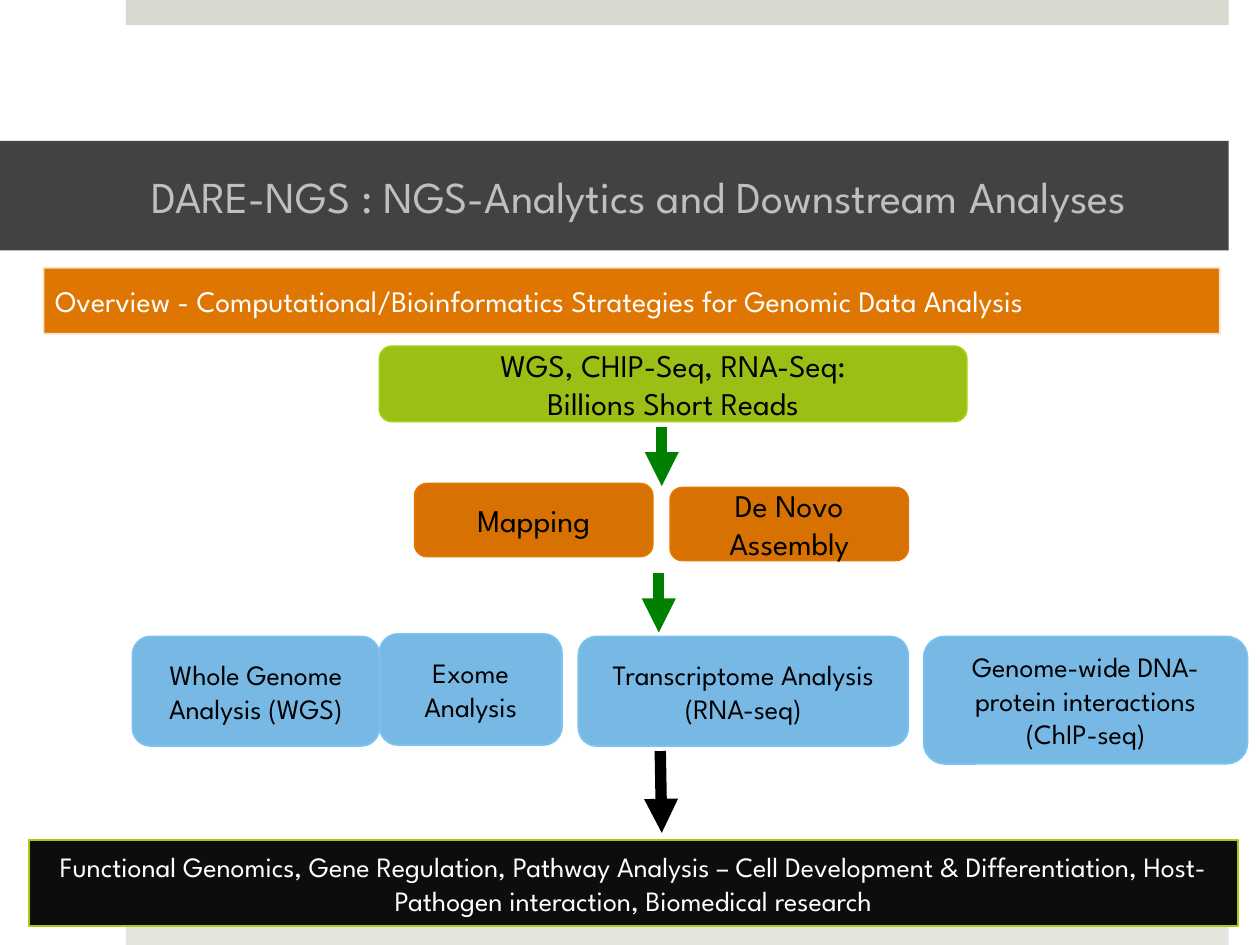
from lxml.etree import SubElement as Sub
from pptx import Presentation
from pptx.dml.color import RGBColor
from pptx.enum.shapes import MSO_CONNECTOR as Link, MSO_SHAPE as Form
from pptx.enum.text import MSO_ANCHOR as Anchor, MSO_AUTO_SIZE as Fit, PP_ALIGN as Align
from pptx.oxml.ns import qn
from pptx.util import Cm, Pt


def tint(code):
    return RGBColor.from_string(code)


class Deck:
    """Holds the style and the current slide, and draws each kind of element."""

    font = "League Spartan"

    def __init__(self, wide, high):
        self.show = Presentation()
        self.show.slide_width = Cm(wide)
        self.show.slide_height = Cm(high)
        self.slide = self.show.slides.add_slide(self.show.slide_layouts[5])

    def label(self, shape, lines, size, color, align):
        frame = shape.text_frame
        frame.word_wrap = True
        frame.auto_size = Fit.NONE
        frame.vertical_anchor = Anchor.MIDDLE
        for i, line in enumerate(lines):
            para = frame.add_paragraph() if i else frame.paragraphs[0]
            para.alignment = align
            run = para.add_run()
            run.text = line
            run.font.name = self.font
            run.font.size = Pt(size)
            run.font.color.rgb = tint(color)

    def title(self, area, text, fill, color, size):
        shape = self.slide.shapes.title
        shape.left, shape.top, shape.width, shape.height = map(Cm, area)
        shape.fill.solid()
        shape.fill.fore_color.rgb = tint(fill)
        self.label(shape, [text], size, color, Align.LEFT)
        frame = shape.text_frame
        frame.margin_left, frame.margin_right = Cm(3.05), Cm(0.76)
        frame.margin_top = frame.margin_bottom = Cm(0.13)

    def box(self, area, fill, edge=None, lines=(), size=16, color="000000",
            form=Form.RECTANGLE, align=Align.CENTER, width=1):
        shape = self.slide.shapes.add_shape(form, *map(Cm, area))
        shape.shadow.inherit = False
        shape.fill.solid()
        shape.fill.fore_color.rgb = tint(fill)
        if edge:
            shape.line.color.rgb = tint(edge)
            shape.line.width = Pt(width)
        else:
            shape.line.fill.background()
        self.label(shape, lines, size, color, align)
        return shape

    def step(self, area, fill, edge, lines, size):
        self.box(area, fill, edge, lines, size, form=Form.ROUNDED_RECTANGLE)

    def fade(self, shape, share):
        edge = shape.element.spPr.find(qn("a:ln"))
        hue = edge.find(".//" + qn("a:srgbClr"))
        Sub(hue, qn("a:alpha"), val=str(share * 1000))

    def arrow(self, ends, color):
        link = self.slide.shapes.add_connector(Link.STRAIGHT, *map(Cm, ends))
        link.line.color.rgb = tint(color)
        link.line.width = Pt(6.5)
        props = link.element.spPr
        Sub(props.find(qn("a:ln")), qn("a:tailEnd"), type="triangle")
        Sub(props, qn("a:effectLst"))


def main():
    deck = Deck(25.4, 19.05)
    for top, fill in (0, "D6D9CD"), (18.54, "E4E6DE"):
        deck.box((2.54, top, 22.23, 0.51), fill)
    deck.title((0, 2.84, 24.77, 2.21),
               "DARE-NGS : NGS-Analytics and Downstream Analyses",
               "424242", "BFBFBF", 25.2)
    head = deck.box(
        (0.86, 5.38, 23.75, 1.37), "E07602", "FFFFFF",
        ["Overview - Computational/Bioinformatics Strategies for Genomic Data Analysis"],
        17, "FFFFFF", align=Align.LEFT, width=2)
    deck.fade(head, 80)

    deck.step((7.65, 6.98, 11.84, 1.52), "9BBF15", "A5CC12",
              ["WGS, CHIP-Seq, RNA-Seq:", "Billions Short Reads"], 18)
    for left, top, text in (8.36, 9.75, "Mapping"), (13.51, 9.83, "De Novo Assembly"):
        deck.step((left, top, 4.8, 1.47), "D67102", "E27600", [text], 18)

    fields = [
        ((11.66, 12.83, 6.65, 2.21), ["Transcriptome Analysis", "(RNA-seq)"]),
        ((7.65, 12.78, 3.68, 2.24), ["Exome Analysis"]),
        ((2.67, 12.83, 4.98, 2.21), ["Whole Genome Analysis (WGS)"]),
        ((18.62, 12.83, 6.53, 2.57),
         ["Genome-wide DNA-protein interactions", "(ChIP-seq)"]),
    ]
    for area, lines in fields:
        deck.step(area, "77B8E4", "7AC2F2", lines, 16)

    deck.box((0.58, 16.94, 24.38, 1.73), "0D0D0D", "A5CC12",
             ["Functional Genomics, Gene Regulation, Pathway Analysis – Cell Development "
              "& Differentiation, Host-Pathogen interaction, Biomedical research"],
             16, "FFFFFF")

    deck.arrow((13.34, 8.61, 13.34, 9.8), "008000")
    deck.arrow((13.28, 11.56, 13.28, 12.75), "008000")
    deck.arrow((13.31, 15.14, 13.34, 16.79), "000000")
    deck.show.save("out.pptx")


if __name__ == "__main__":
    main()
